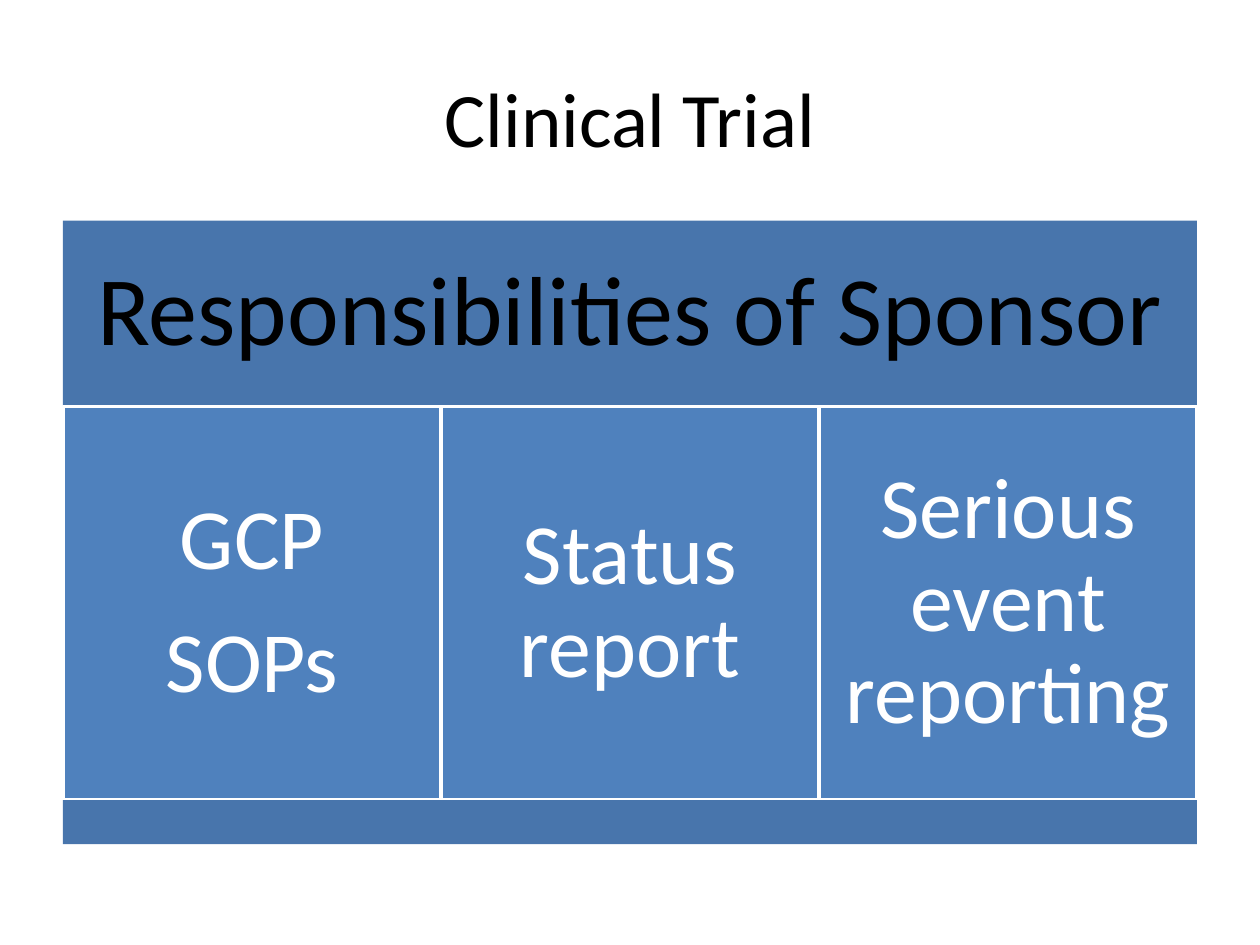
from pptx import Presentation
from pptx.dml.color import RGBColor
from pptx.enum.shapes import MSO_SHAPE
from pptx.enum.text import MSO_ANCHOR, PP_ALIGN
from pptx.util import Cm, Pt


def color(hex_value):
    return RGBColor.from_string(hex_value)


def write(shape, text, size, ink, margin=0.25, line_spacing=1.0, space_after=0):
    frame = shape.text_frame
    frame.word_wrap = True
    frame.vertical_anchor = MSO_ANCHOR.MIDDLE
    frame.margin_left = frame.margin_right = Cm(margin)
    frame.margin_top = frame.margin_bottom = Cm(margin)
    frame.text = text
    for paragraph in frame.paragraphs:
        paragraph.alignment = PP_ALIGN.CENTER
        paragraph.line_spacing = line_spacing
        paragraph.space_after = Pt(space_after)
        paragraph.font.name = "Calibri"
        paragraph.font.size = Pt(size)
        paragraph.font.color.rgb = color(ink)


deck = Presentation()
deck.slide_width, deck.slide_height = Cm(25.4), Cm(19.05)
slide = deck.slides.add_slide(deck.slide_layouts[5])

left, width = 1.27, 22.86
header_top, duties_top, footer_top, footer_bottom = 4.45, 8.2, 16.13, 17.02

topic = slide.shapes.title
topic.left, topic.top = Cm(left), Cm(0.76)
topic.width, topic.height = Cm(width), Cm(3.18)
write(topic, "Clinical Trial", size=44, ink="000000")

duties = ["GCP\nSOPs", "Status report", "Serious event reporting"]
duty_width = width / len(duties)

bands = [(left, header_top, width, duties_top, "4875AC", "Responsibilities of Sponsor")]
for column, duty in enumerate(duties):
    bands.append((left + column * duty_width, duties_top, duty_width, footer_top, "4F81BD", duty))
bands.append((left, footer_top, width, footer_bottom, "4875AC", ""))

for x, top, band_width, bottom, fill, wording in bands:
    band = slide.shapes.add_shape(
        MSO_SHAPE.RECTANGLE, Cm(x), Cm(top), Cm(band_width), Cm(bottom - top)
    )
    band.shadow.inherit = False
    band.fill.solid()
    band.fill.fore_color.rgb = color(fill)
    if wording in duties:
        band.line.color.rgb = color("FFFFFF")
        band.line.width = Pt(2)
        write(band, wording, size=49, ink="FFFFFF", margin=0.5, line_spacing=0.9, space_after=17)
    else:
        band.line.fill.background()
        if wording:
            write(band, wording, size=56, ink="000000", margin=0.58, line_spacing=0.9, space_after=20)

deck.save("out.pptx")
